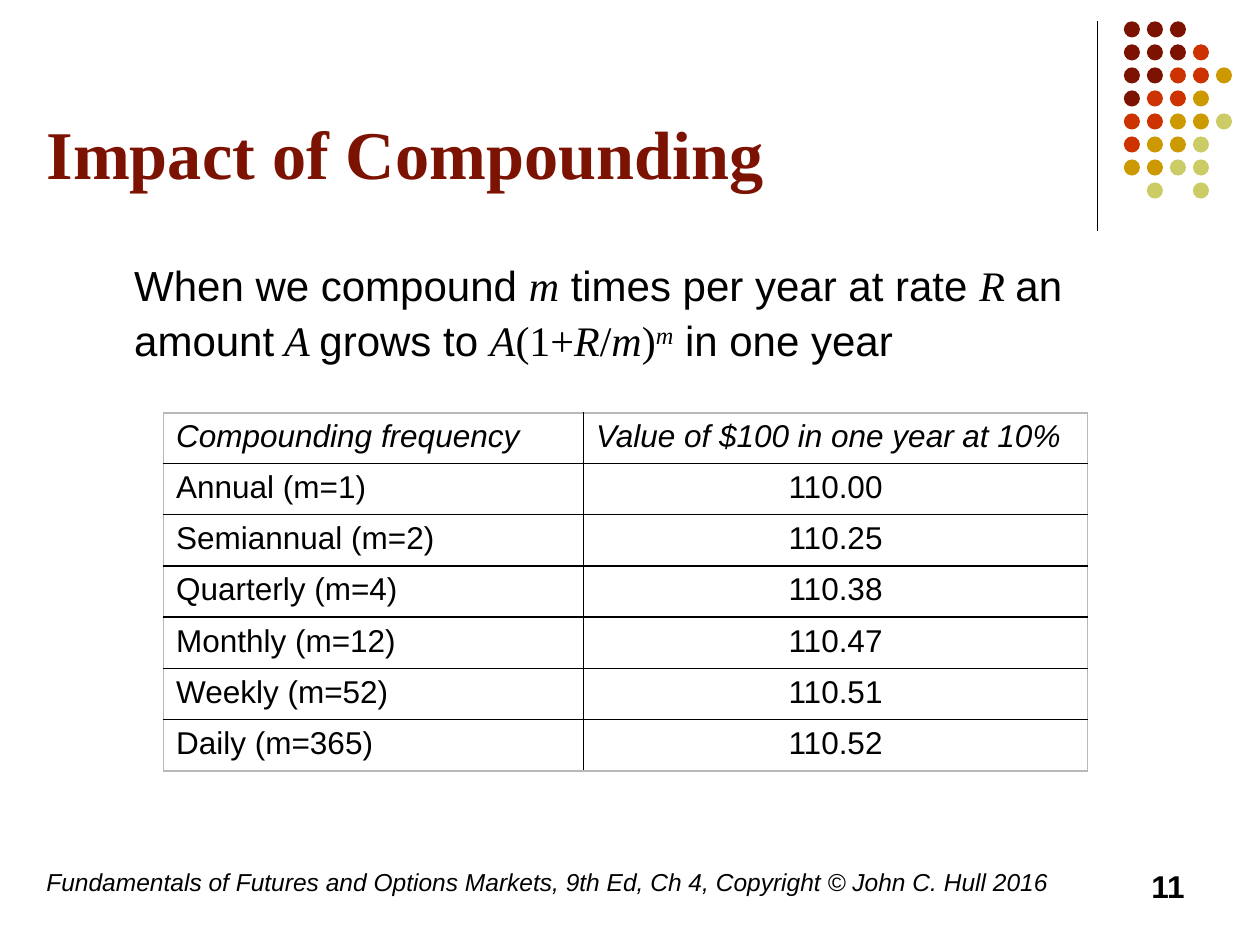
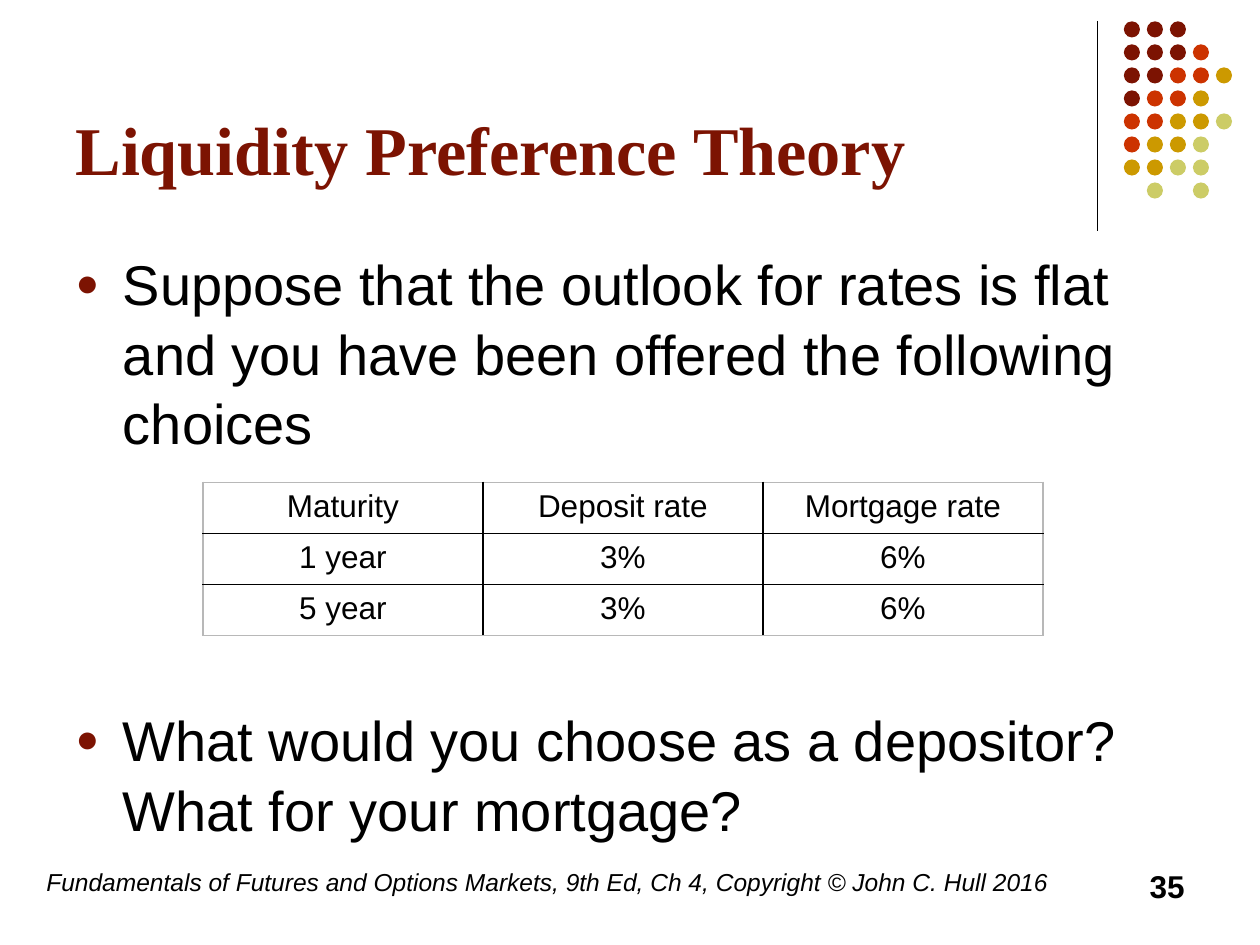
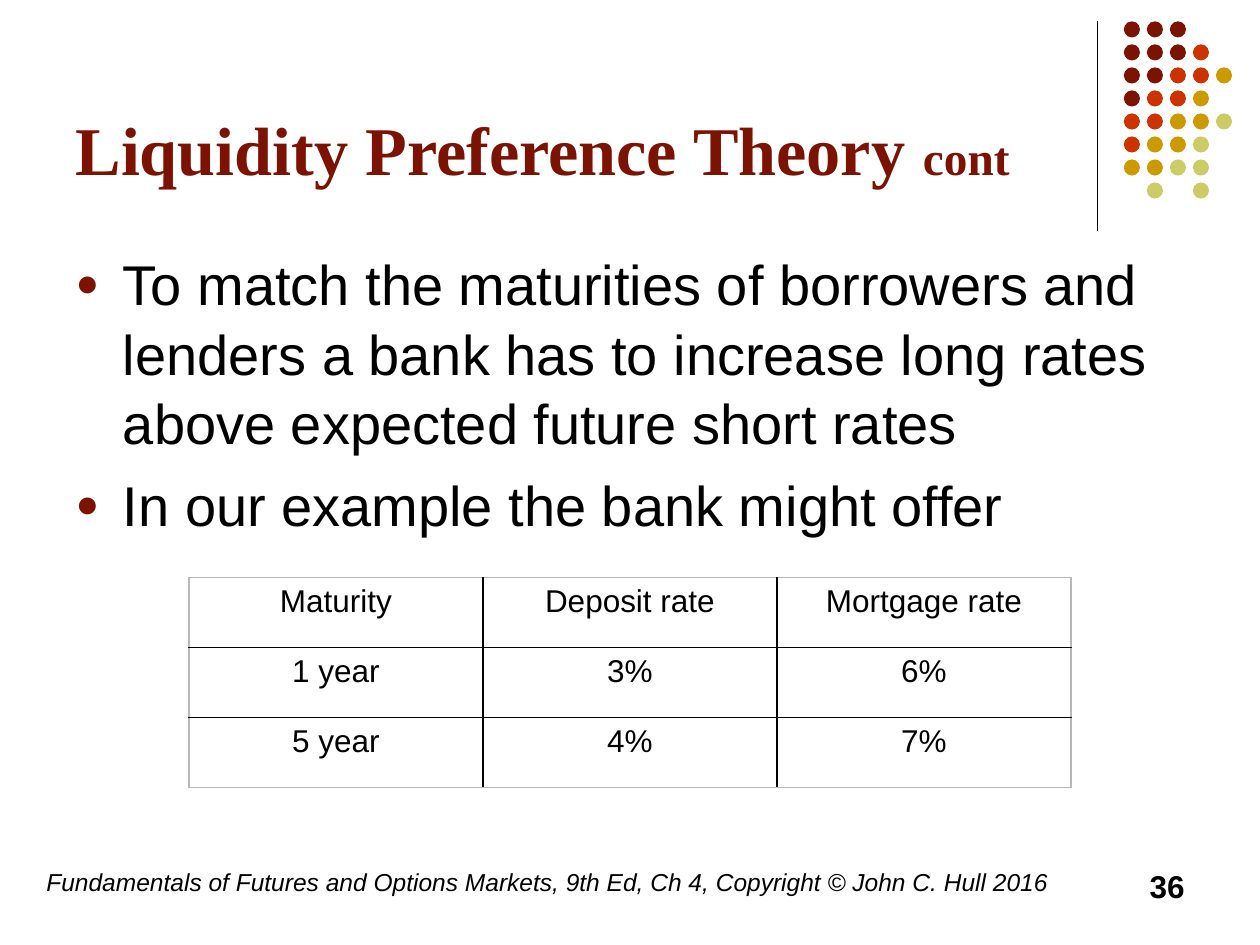
from lxml.etree import SubElement
from pptx import Presentation
from pptx.dml.color import RGBColor
from pptx.enum.shapes import MSO_CONNECTOR, MSO_SHAPE
from pptx.enum.text import MSO_ANCHOR, MSO_AUTO_SIZE, PP_ALIGN
from pptx.oxml.ns import qn
from pptx.util import Pt

MAROON = RGBColor(0x7C, 0x13, 0x02)
RED = RGBColor(0xCC, 0x33, 0x00)
GOLD = RGBColor(0xCC, 0x99, 0x00)
OLIVE = RGBColor(0xCC, 0xCC, 0x66)
BLACK = RGBColor(0x00, 0x00, 0x00)
GREY = RGBColor(0xB8, 0xB8, 0xB8)

SANS, SERIF = "Arial", "Times New Roman"
FOOTER = ("Fundamentals of Futures and Options Markets, 9th Ed, Ch 4, "
          "Copyright © John C. Hull 2016")

# Corner ornament: one letter per dot, a point for a gap
DOT_COLOURS = {"M": MAROON, "R": RED, "G": GOLD, "O": OLIVE}
DOT_ROWS = ["MMM", "MMMR", "MMRRG", "MRRG", "RRGGO", "RGGO", "GGOO", ".O.O"]
DOT_LEFT, DOT_TOP, DOT_PITCH, DOT_SIZE = 642.2, 12.2, 13.15, 9.2

TITLE_AREA = (36, 9.4, 594, 102.2)
BODY_AREA = (36, 135.4, 648, 347)
HANGING = 27


def style(run, size, font=SANS, colour=BLACK, bold=False, italic=False):
    run.font.size = Pt(size)
    run.font.name = font
    run.font.color.rgb = colour
    run.font.bold = bold
    run.font.italic = italic


def place(shape, area):
    shape.left, shape.top, shape.width, shape.height = map(Pt, area)


def add_ornament(slide):
    rule = slide.shapes.add_connector(
        MSO_CONNECTOR.STRAIGHT, Pt(627), Pt(12), Pt(627), Pt(132))
    rule.line.color.rgb = BLACK
    rule.line.width = Pt(0.75)
    SubElement(rule._element.spPr, qn("a:effectLst"))
    dots = slide.shapes.add_group_shape().shapes
    for row, letters in enumerate(DOT_ROWS):
        for column, letter in enumerate(letters):
            if letter == ".":
                continue
            dot = dots.add_shape(
                MSO_SHAPE.OVAL, Pt(DOT_LEFT + column * DOT_PITCH),
                Pt(DOT_TOP + row * DOT_PITCH), Pt(DOT_SIZE), Pt(DOT_SIZE))
            dot.shadow.inherit = False
            dot.fill.solid()
            dot.fill.fore_color.rgb = DOT_COLOURS[letter]
            dot.line.fill.background()


def add_label(slide, text, area, size, align=PP_ALIGN.LEFT, **look):
    label = slide.shapes.add_textbox(*map(Pt, area))
    label.text_frame.word_wrap = True
    label.text_frame.text = text
    paragraph = label.text_frame.paragraphs[0]
    paragraph.alignment = align
    style(paragraph.runs[0], size, **look)


def add_slide(deck, number, title, area=TITLE_AREA, suffix=""):
    """Add a slide with ornament, title, footer and page number."""
    slide = deck.slides.add_slide(deck.slide_layouts[1])
    add_ornament(slide)
    heading = slide.shapes.title
    place(heading, area)
    frame = heading.text_frame
    frame.auto_size = MSO_AUTO_SIZE.NONE
    frame.vertical_anchor = MSO_ANCHOR.BOTTOM
    frame.text = title
    paragraph = frame.paragraphs[0]
    paragraph.alignment = PP_ALIGN.LEFT
    style(paragraph.runs[0], 39, SERIF, MAROON, bold=True)
    if suffix:
        ending = paragraph.add_run()
        ending.text = suffix
        style(ending, 27, SERIF, MAROON, bold=True)
    add_label(slide, FOOTER, (19.4, 492, 595.6, 36), 14, italic=True)
    add_label(slide, str(number), (516, 492, 168, 36), 18,
              PP_ALIGN.RIGHT, bold=True)
    return slide


def body_frame(slide, area, top_margin):
    body = slide.placeholders[1]
    place(body, area)
    frame = body.text_frame
    frame.auto_size = MSO_AUTO_SIZE.NONE
    frame.margin_top = Pt(top_margin)
    return frame


def set_bullet(paragraph):
    properties = paragraph._p.get_or_add_pPr()
    properties.set("marL", str(Pt(HANGING)))
    properties.set("indent", str(-Pt(HANGING)))
    colour = SubElement(properties, qn("a:buClr"))
    SubElement(colour, qn("a:srgbClr"), val=str(MAROON))
    SubElement(properties, qn("a:buSzPct"), val="70000")
    SubElement(properties, qn("a:buFont"), typeface=SANS)
    SubElement(properties, qn("a:buChar"), char="●")


def add_bullets(slide, items, gap=6.4):
    frame = body_frame(slide, BODY_AREA, 5.4)
    frame.text = "\n".join(items)
    for index, paragraph in enumerate(frame.paragraphs):
        set_bullet(paragraph)
        paragraph.line_spacing = 1.04
        paragraph.space_before = Pt(gap if index else 0)
        style(paragraph.runs[0], 32)


def add_formula_text(slide, parts):
    """Fill the body with (text, kind) parts: words, symbol, variable or power."""
    frame = body_frame(slide, (42.5, 134, 635.8, 337), 11.3)
    paragraph = frame.paragraphs[0]
    properties = paragraph._p.get_or_add_pPr()
    properties.set("marL", str(Pt(HANGING)))
    properties.set("indent", "0")
    SubElement(properties, qn("a:buNone"))
    paragraph.line_spacing = 1.1
    paragraph.space_before = Pt(0)
    for text, kind in parts:
        run = paragraph.add_run()
        run.text = text
        style(run, 24, SANS if kind == "words" else SERIF,
              italic=kind in ("variable", "power"))
        if kind == "power":
            run._r.get_or_add_rPr().set("baseline", "30000")


def set_borders(cell, outer_sides):
    properties = cell._tc.get_or_add_tcPr()
    for position, side in enumerate(("lnL", "lnR", "lnT", "lnB")):
        border = properties.makeelement(qn("a:" + side), {"w": str(Pt(1))})
        fill = SubElement(border, qn("a:solidFill"))
        colour = GREY if side in outer_sides else BLACK
        SubElement(fill, qn("a:srgbClr"), val=str(colour))
        properties.insert(position, border)


def add_grid(slide, rows, left, top, widths, heights, left_aligned=(),
             italic_header=False):
    """Add a ruled table; left_aligned is a set of (row, column) cells."""
    last_row, last_column = len(rows) - 1, len(widths) - 1
    table = slide.shapes.add_table(
        len(rows), len(widths), Pt(left), Pt(top),
        Pt(sum(widths)), Pt(sum(heights))).table
    table.first_row = table.horz_banding = False
    for column, width in zip(table.columns, widths):
        column.width = Pt(width)
    for r, (texts, height) in enumerate(zip(rows, heights)):
        table.rows[r].height = Pt(height)
        for c, text in enumerate(texts):
            cell = table.cell(r, c)
            cell.fill.background()
            edges = {"lnL": c == 0, "lnR": c == last_column,
                     "lnT": r == 0, "lnB": r == last_row}
            set_borders(cell, [side for side in edges if edges[side]])
            cell.text = text
            paragraph = cell.text_frame.paragraphs[0]
            paragraph.alignment = (
                PP_ALIGN.LEFT if (r, c) in left_aligned else PP_ALIGN.CENTER)
            style(paragraph.runs[0], 18, italic=italic_header and r == 0)


def rate_rows(*rates):
    return [("Maturity", "Deposit rate", "Mortgage rate"), *rates]


def main():
    deck = Presentation()
    deck.slide_width, deck.slide_height = Pt(720), Pt(540)

    # Compounding frequency
    compounding = add_slide(deck, 11, "Impact of Compounding",
                            (19.4, 43.2, 612, 70.6))
    add_formula_text(compounding, [
        ("When we compound ", "words"), ("m", "variable"),
        (" times per year at rate ", "words"), ("R ", "variable"),
        ("an amount", "words"), (" A ", "variable"), ("grows to ", "words"),
        ("A", "variable"), ("(1+", "symbol"), ("R", "variable"),
        ("/", "symbol"), ("m", "variable"), (")", "symbol"),
        ("m", "power"), (" in one year", "words")])
    values = [
        ("Compounding frequency", "Value of $100 in one year at 10%"),
        ("Annual (m=1)", "110.00"),
        ("Semiannual (m=2)", "110.25"),
        ("Quarterly (m=4)", "110.38"),
        ("Monthly (m=12)", "110.47"),
        ("Weekly (m=52)", "110.51"),
        ("Daily (m=365)", "110.52")]
    left_cells = {(row, 0) for row in range(len(values))} | {(0, 1)}
    add_grid(compounding, values, 93.5, 236, [240, 288], [28] + [29.3] * 6,
             left_cells, italic_header=True)

    # Liquidity preference: the choices
    choices = add_slide(deck, 35, "Liquidity Preference Theory")
    add_bullets(choices, [
        "Suppose that the outlook for rates is flat and you have been "
        "offered the following choices",
        "What would you choose as a depositor? What for your mortgage?"],
        gap=141)
    add_grid(choices, rate_rows(("1 year", "3%", "6%"), ("5 year", "3%", "6%")),
             116, 275.6, [160] * 3, [29.2] * 3)

    # Liquidity preference: the bank's answer
    offer = add_slide(deck, 36, "Liquidity Preference Theory ", suffix="cont")
    add_bullets(offer, [
        "To match the maturities of borrowers and lenders a bank has to "
        "increase long rates above expected future short rates",
        "In our example the bank might offer"])
    add_grid(offer, rate_rows(("1 year", "3%", "6%"), ("5 year", "4%", "7%")),
             108, 330, [168] * 3, [40] * 3)

    deck.save("out.pptx")


if __name__ == "__main__":
    main()
